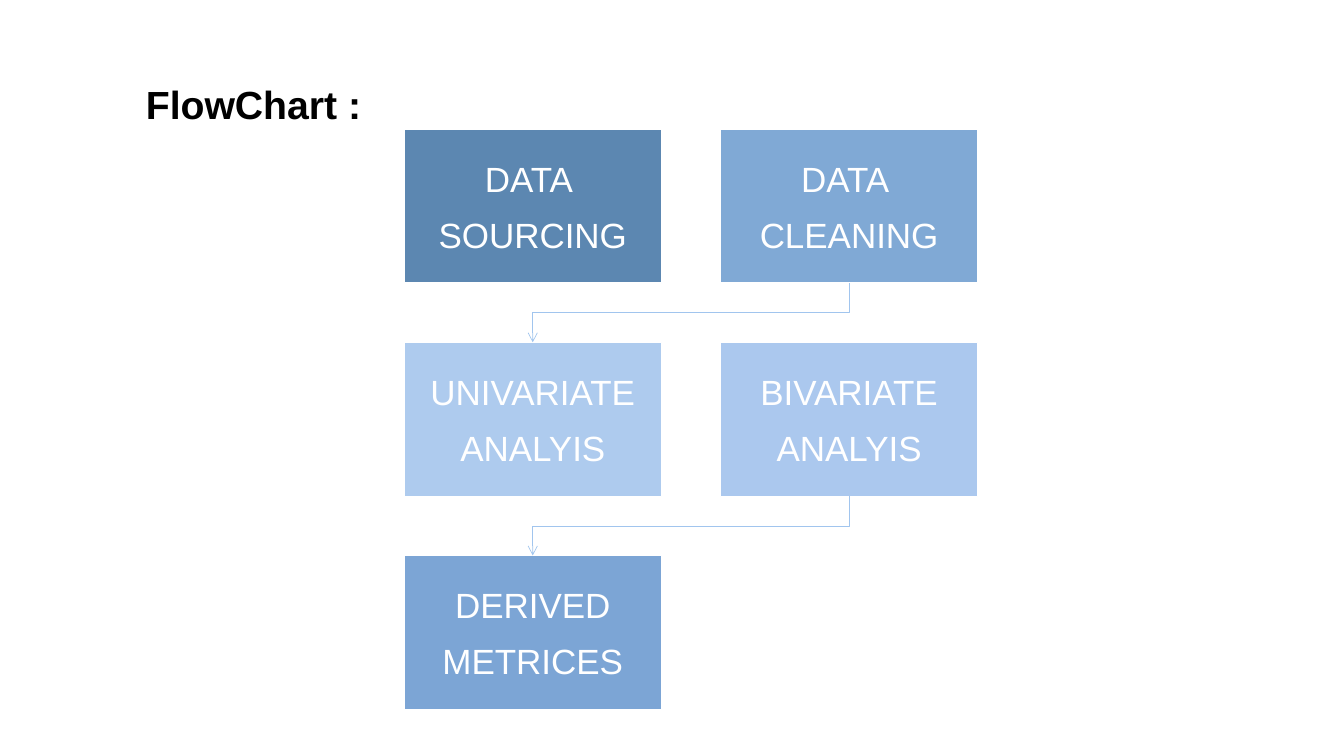
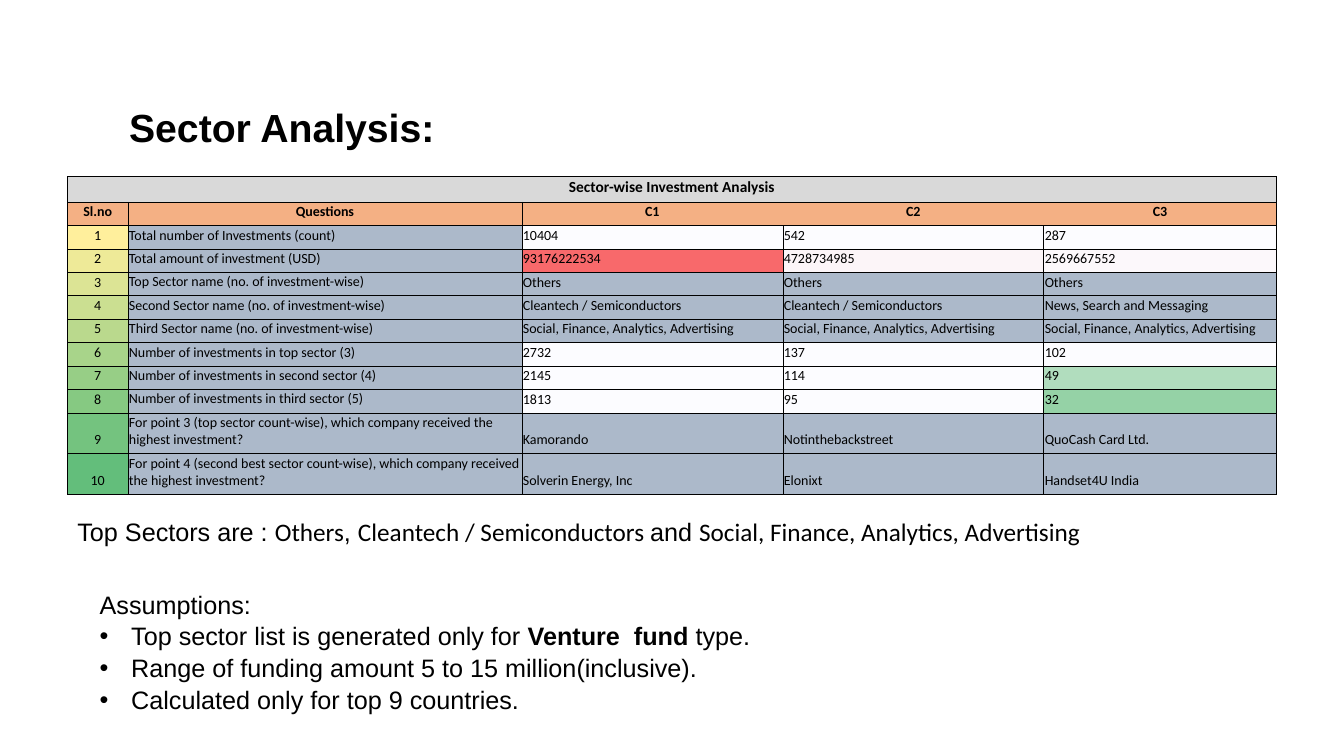
"""Build a flowchart slide and a sector analysis slide."""
from lxml.etree import SubElement
from pptx import Presentation
from pptx.dml.color import RGBColor
from pptx.enum.shapes import MSO_CONNECTOR, MSO_SHAPE
from pptx.enum.text import MSO_ANCHOR, MSO_AUTO_SIZE, PP_ALIGN
from pptx.oxml.ns import qn
from pptx.util import Pt

BLACK, WHITE = "000000", "FFFFFF"
GREY, ORANGE, SLATE, PALE = "D9D9D9", "F4B084", "ACB9CA", "FCFCFF"
YELLOW, GREEN = "FFEF9C", "63BE7B"

TITLE = dict(name="Arial", size=Pt(28), bold=True)
BOX = dict(name="Arial", size=Pt(25), color=WHITE)
BODY = dict(name="Arial", size=Pt(18))
CELL = dict(name="Calibri", size=Pt(10))
FRAME = dict(word_wrap=True, auto_size=MSO_AUTO_SIZE.NONE)
CELL_BOX = dict(margin_left=Pt(0.75), margin_top=Pt(0.75),
                margin_right=Pt(0.75), margin_bottom=Pt(3.6))

STEPS = [
    (0, 0, ["DATA ", "SOURCING"], "5C87B1"),
    (1, 0, ["DATA ", "CLEANING"], "80A9D5"),
    (0, 1, ["UNIVARIATE", "ANALYIS"], "AECBEE"),
    (1, 1, ["BIVARIATE", "ANALYIS"], "ABC8EE"),
    (0, 2, ["DERIVED", "METRICES"], "7CA5D5"),
]
HEADINGS = ["Sl.no", "Questions", "C1", "C2", "C3"]
SOCIAL = "Social, Finance, Analytics, Advertising"
CLEAN = "Cleantech / Semiconductors"
ROWS = [
    ("Total number of Investments (count)", "10404", "542", "287"),
    ("Total amount of investment (USD)", "93176222534", "4728734985", "2569667552"),
    ("Top Sector name (no. of investment-wise)", "Others", "Others", "Others"),
    ("Second Sector name (no. of investment-wise)", CLEAN, CLEAN,
     "News, Search and Messaging"),
    ("Third Sector name (no. of investment-wise)", SOCIAL, SOCIAL, SOCIAL),
    ("Number of investments in top sector (3)", "2732", "137", "102"),
    ("Number of investments in second sector (4)", "2145", "114", "49"),
    ("Number of investments in third sector (5)", "1813", "95", "32"),
    ("For point 3 (top sector count-wise), which company received the highest "
     "investment?", "Kamorando", "Notinthebackstreet", "QuoCash Card Ltd."),
    ("For point 4 (second best sector count-wise), which company received the "
     "highest investment?", "Solverin Energy, Inc", "Elonixt", "Handset4U India"),
]
HEAT = {"93176222534": "F8696B", "4728734985": "FCF5F8", "2569667552": "FCF8FB",
        "49": "B1DDBE", "32": "95D2A6"}
COL_WIDTHS = [43.2, 281.4, 186.4, 186.4, 166.1]
ROW_HEIGHTS = [18.4] + [16.75] * 9 + [29.2] * 2
ASSUMPTIONS = [
    [("Assumptions:", False)],
    [("Top sector list is generated only for ", False), ("Venture  fund ", True),
     ("type.", False)],
    [("Range of funding amount 5 to 15 million(inclusive).", False)],
    [("Calculated only for top 9 countries.", False)],
]


def rgb(hex_color):
    """Turn a hex string into a colour."""
    return RGBColor.from_string(hex_color)


def apply(obj, values):
    """Set each attribute named in a dict of format values."""
    for name, value in values.items():
        setattr(obj, name, value)


def place(sp, box):
    """Move a shape to a box of left, top, width and height in points."""
    apply(sp, dict(zip(("left", "top", "width", "height"), map(Pt, box))))


def add_run(p, text, fmt, color=BLACK, **extra):
    """Add a formatted run to a paragraph."""
    r = p.add_run()
    r.text = text
    values = {**fmt, **extra}
    r.font.color.rgb = rgb(values.pop("color", color))
    apply(r.font, values)


def next_paragraph(tf, i):
    """Return the first paragraph of a frame, or a new one after it."""
    return tf.add_paragraph() if i else tf.paragraphs[0]


def add_title(s, text, box):
    """Fill and place the title of a slide."""
    sp = s.shapes.title
    place(sp, box)
    tf = sp.text_frame
    apply(tf, dict(FRAME, vertical_anchor=MSO_ANCHOR.MIDDLE))
    p = tf.paragraphs[0]
    p.alignment = PP_ALIGN.LEFT
    add_run(p, text, TITLE)


def add_step(s, lines, fill, box):
    """Draw one filled step of the flowchart."""
    sp = s.shapes.add_shape(MSO_SHAPE.RECTANGLE, *map(Pt, box))
    sp.shadow.inherit = False
    sp.fill.solid()
    sp.fill.fore_color.rgb = rgb(fill)
    sp.line.color.rgb = rgb(WHITE)
    sp.line.width = Pt(1)
    tf = sp.text_frame
    sides = ("margin_left", "margin_top", "margin_right", "margin_bottom")
    apply(tf, dict(FRAME, vertical_anchor=MSO_ANCHOR.MIDDLE,
                   **dict.fromkeys(sides, Pt(13.7))))
    for i, line in enumerate(lines):
        p = next_paragraph(tf, i)
        apply(p, dict(alignment=PP_ALIGN.CENTER, space_after=Pt(10)))
        add_run(p, line, BOX)


def add_return_arrow(s, x1, y1, x2, y2):
    """Draw an elbow arrow that leaves downwards and ends downwards."""
    cx, cy = (x1 + x2) / 2, (y1 + y2) / 2
    half_w, half_h = (y2 - y1) / 2, (x1 - x2) / 2
    ends = (cx - half_w, cy - half_h, cx + half_w, cy + half_h)
    cxn = s.shapes.add_connector(MSO_CONNECTOR.ELBOW, *map(Pt, ends))
    cxn.line.color.rgb = rgb("A1C5EE")
    cxn.line.width = Pt(0.5)
    pr = cxn._element.spPr
    pr.find(qn("a:xfrm")).set("rot", "5400000")
    SubElement(pr.find(qn("a:ln")), qn("a:tailEnd"), type="arrow")
    SubElement(pr, qn("a:effectLst"))


def add_flowchart(s, box, gap=42.3):
    """Lay the steps on a grid of two columns and three rows."""
    left, top, width, height = box
    w, h = (width - gap) / 2, (height - 2 * gap) / 3
    for col, row, lines, fill in STEPS:
        add_step(s, lines, fill,
                 (left + col * (w + gap), top + row * (h + gap), w, h))
    for row in range(2):
        y = top + row * (h + gap) + h
        add_return_arrow(s, left + w + gap + w / 2, y, left + w / 2, y + gap)


def blend(start, end, share):
    """Mix two hex colours."""
    pairs = ((int(start[i:i + 2], 16), int(end[i:i + 2], 16)) for i in (0, 2, 4))
    return "".join(f"{round(a + (b - a) * share):02X}" for a, b in pairs)


def set_borders(cell, hidden=""):
    """Give a cell thin black borders, except on the hidden sides."""
    pr = cell._tc.get_or_add_tcPr()
    for side in "LRTB":
        ln = SubElement(pr, qn(f"a:ln{side}"), w=str(Pt(0.5)))
        if side in hidden:
            SubElement(ln, qn("a:noFill"))
        else:
            fill = SubElement(ln, qn("a:solidFill"))
            SubElement(fill, qn("a:srgbClr"), val=BLACK)


def fill_cell(cell, text, fill, center=False, middle=False, hidden="", **extra):
    """Write and format one table cell."""
    set_borders(cell, hidden)
    cell.fill.solid()
    cell.fill.fore_color.rgb = rgb(fill)
    anchor = MSO_ANCHOR.MIDDLE if middle else MSO_ANCHOR.BOTTOM
    apply(cell, dict(CELL_BOX, vertical_anchor=anchor))
    p = cell.text_frame.paragraphs[0]
    p.alignment = PP_ALIGN.CENTER if center else PP_ALIGN.LEFT
    if text:
        add_run(p, text, CELL, **extra)


def add_sector_table(s, left, top):
    """Draw the table of investments by sector."""
    box = (left, top, sum(COL_WIDTHS), sum(ROW_HEIGHTS))
    tbl = s.shapes.add_table(len(ROW_HEIGHTS), len(COL_WIDTHS), *map(Pt, box)).table
    apply(tbl, dict(first_row=False, horz_banding=False))
    for col, width in zip(tbl.columns, COL_WIDTHS):
        col.width = Pt(width)
    for row, height in zip(tbl.rows, ROW_HEIGHTS):
        row.height = Pt(height)
    tbl.cell(0, 0).merge(tbl.cell(0, 4))
    hidden = ["", "", "R", "LR", "L"]
    for c, heading in enumerate(HEADINGS):
        banner = "" if c else "Sector-wise Investment Analysis"
        fill_cell(tbl.cell(0, c), banner, GREY, center=True, middle=True,
                  bold=True, size=Pt(11))
        fill_cell(tbl.cell(1, c), heading, ORANGE, center=True, hidden=hidden[c],
                  bold=True)
    for i, (question, *values) in enumerate(ROWS):
        r = i + 2
        scale = blend(YELLOW, GREEN, i / (len(ROWS) - 1))
        fill_cell(tbl.cell(r, 0), str(i + 1), scale, center=True)
        fill_cell(tbl.cell(r, 1), question, SLATE, middle=True)
        for c, value in enumerate(values, 2):
            fill = HEAT.get(value, PALE if value.isdigit() else SLATE)
            fill_cell(tbl.cell(r, c), value, fill)


def add_top_sectors(s, box):
    """Write the line that names the top sectors."""
    tf = s.shapes.add_textbox(*map(Pt, box)).text_frame
    apply(tf, FRAME)
    parts = [("Top Sectors are : ", "Arial"), ("Others", "Calibri"), (", ", "Arial"),
             (CLEAN + " ", "Calibri"), ("and ", "Arial"), (SOCIAL, "Calibri")]
    for text, font in parts:
        add_run(tf.paragraphs[0], text, BODY, name=font)


def add_assumptions(s, box):
    """Write the heading and bullets of the assumptions."""
    sp = s.placeholders[1]
    place(sp, box)
    tf = sp.text_frame
    apply(tf, dict(FRAME, vertical_anchor=MSO_ANCHOR.TOP))
    for i, runs in enumerate(ASSUMPTIONS):
        p = next_paragraph(tf, i)
        apply(p, dict(space_before=Pt(0), line_spacing=1.05))
        pr = p._p.get_or_add_pPr()
        indent = Pt(22.5) if i else 0
        pr.set("marL", str(indent))
        pr.set("indent", str(-indent))
        if not i:
            SubElement(pr, qn("a:buNone"))
        for text, bold in runs:
            add_run(p, text, BODY, bold=bold)


def build_flow_slide(prs):
    """Build the flowchart slide."""
    s = prs.slides.add_slide(prs.slide_layouts[5])
    add_title(s, "FlowChart :", (97, 54.5, 240, 40))
    add_flowchart(s, (288.7, 92.2, 409.6, 414.6))


def build_sector_slide(prs):
    """Build the sector analysis slide."""
    s = prs.slides.add_slide(prs.slide_layouts[1])
    add_title(s, "Sector Analysis:", (85, 70.5, 400, 40))
    add_sector_table(s, 48.2, 126)
    add_top_sectors(s, (48.2, 365, 885, 29))
    add_assumptions(s, (64, 416, 763, 94.5))


def main():
    """Build and save the presentation."""
    prs = Presentation()
    apply(prs, dict(slide_width=Pt(960), slide_height=Pt(540)))
    build_flow_slide(prs)
    build_sector_slide(prs)
    prs.save("out.pptx")


if __name__ == "__main__":
    main()
